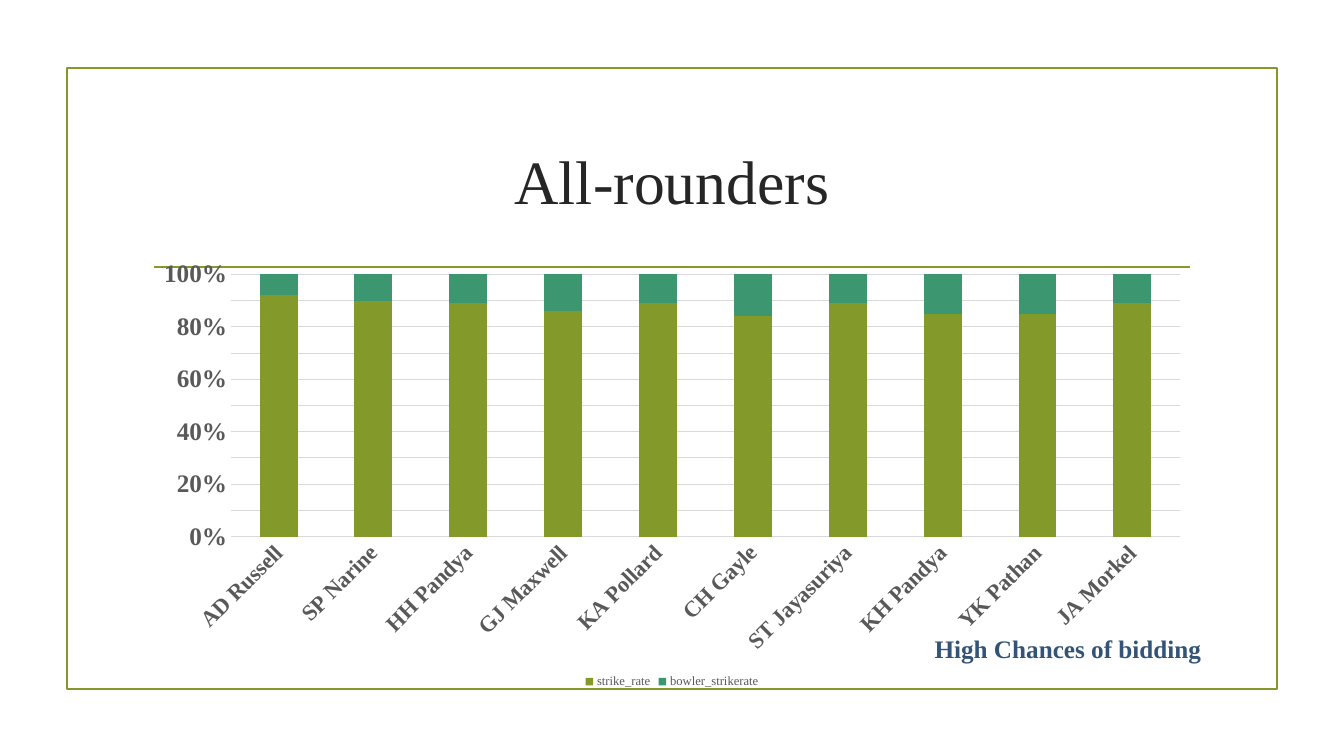
from dataclasses import dataclass

from lxml import etree
from pptx import Presentation
from pptx import util as u
from pptx.chart.data import CategoryChartData
from pptx.dml.color import RGBColor
from pptx.enum import chart as ch, shapes, text
from pptx.oxml import ns

SCALE = 914400 / 100.8


@dataclass(frozen=True)
class Theme:
    font: str = "Times New Roman"
    olive: str = "83992A"
    teal: str = "3C9770"
    dark: str = "262626"
    gray: str = "595959"
    grid: str = "D9D9D9"
    navy: str = "335476"
    head: float = 44
    note: float = 18
    value: float = 18
    label: float = 16
    key: float = 9
    rule: float = 1.25
    thin: float = 0.75


@dataclass(frozen=True)
class Box:
    x: int
    y: int
    w: int
    h: int

    def emu(self) -> tuple[int, ...]:
        return tuple(px(n) for n in (self.x, self.y, self.w, self.h))


@dataclass(frozen=True)
class Series:
    name: str
    color: str
    values: tuple[int, ...]


THEME = Theme()
FRAME = Box(67, 68, 1210, 621)
TITLE = Box(143, 108, 1058, 144)
CHART = Box(143, 252, 1058, 441)
NOTE = Box(539, 576, 1058, 144)
RULE = (154, 267, 1190, 267)

NAMES = ("AD Russell", "SP Narine", "HH Pandya", "GJ Maxwell", "KA Pollard",
         "CH Gayle", "ST Jayasuriya", "KH Pandya", "YK Pathan", "JA Morkel")
BAT = (92, 90, 89, 86, 89, 84, 89, 85, 85, 89)
SERIES = (
    Series("strike_rate", THEME.olive, BAT),
    Series("bowler_strikerate", THEME.teal, tuple(100 - n for n in BAT)),
)


def px(n: int) -> int:
    return round(n * SCALE)


def rgb(color: str) -> RGBColor:
    return RGBColor.from_string(color)


def style(font, size: float, color: str, bold: bool = False) -> None:
    font.name, font.size, font.bold = THEME.font, u.Pt(size), bold
    font.color.rgb = rgb(color)


def stroke(line, color: str, width: float) -> None:
    line.color.rgb = rgb(color)
    line.width = u.Pt(width)


def write(shape, words: str, size: float, color: str, bold: bool = False) -> None:
    frame = shape.text_frame
    frame.word_wrap = True
    frame.auto_size = text.MSO_AUTO_SIZE.NONE
    frame.vertical_anchor = text.MSO_ANCHOR.MIDDLE
    para = frame.paragraphs[0]
    para.text = words
    para.alignment = text.PP_ALIGN.CENTER
    style(para.font, size, color, bold)


def add_border(slide) -> None:
    frame = slide.shapes.add_shape(shapes.MSO_SHAPE.RECTANGLE, *FRAME.emu())
    frame.shadow.inherit = False
    frame.fill.background()
    stroke(frame.line, THEME.olive, THEME.rule)
    rule = slide.shapes.add_connector(
        shapes.MSO_CONNECTOR.STRAIGHT, *(px(n) for n in RULE))
    stroke(rule.line, THEME.olive, THEME.rule)
    etree.SubElement(rule.element.spPr, ns.qn("a:effectLst"))


def add_title(slide) -> None:
    title = slide.shapes.title
    title.left, title.top, title.width, title.height = TITLE.emu()
    write(title, "All-rounders", THEME.head, THEME.dark)


def add_rates(slide) -> None:
    data = CategoryChartData()
    data.categories = NAMES
    for item in SERIES:
        data.add_series(item.name, item.values)
    chart = slide.shapes.add_chart(
        ch.XL_CHART_TYPE.COLUMN_STACKED_100, *CHART.emu(), data).chart
    chart.has_title = False
    style(chart.font, 10, "000000")

    # Columns
    plot = chart.plots[0]
    plot.vary_by_categories = False
    plot.gap_width, plot.overlap = 150, 100
    for bar, item in zip(plot.series, SERIES):
        bar.format.fill.solid()
        bar.format.fill.fore_color.rgb = rgb(item.color)

    # Axes
    cat, val = chart.category_axis, chart.value_axis
    for axis, size in ((cat, THEME.label), (val, THEME.value)):
        axis.major_tick_mark = axis.minor_tick_mark = ch.XL_TICK_MARK.NONE
        style(axis.tick_labels.font, size, THEME.gray, True)
    stroke(cat.format.line, THEME.grid, THEME.thin)
    body = chart.element.xpath("c:chart/c:plotArea/c:catAx/c:txPr/a:bodyPr")[0]
    body.set("rot", "-2700000")
    val.format.line.fill.background()
    val.minimum_scale, val.maximum_scale, val.major_unit = 0, 1, 0.1
    val.tick_labels.number_format = "0%"
    val.tick_labels.number_format_is_linked = False
    val.has_major_gridlines = True
    stroke(val.major_gridlines.format.line, THEME.grid, THEME.thin)

    # Legend
    chart.has_legend = True
    chart.legend.position = ch.XL_LEGEND_POSITION.BOTTOM
    chart.legend.include_in_layout = False
    style(chart.legend.font, THEME.key, THEME.gray)


def add_note(slide) -> None:
    note = slide.shapes.add_textbox(*NOTE.emu())
    write(note, "High Chances of bidding", THEME.note, THEME.navy, True)


def main() -> None:
    deck = Presentation()
    deck.slide_width, deck.slide_height = px(1344), px(756)
    slide = deck.slides.add_slide(deck.slide_layouts[5])
    add_border(slide)
    add_title(slide)
    add_rates(slide)
    add_note(slide)
    deck.save("out.pptx")


if __name__ == "__main__":
    main()
